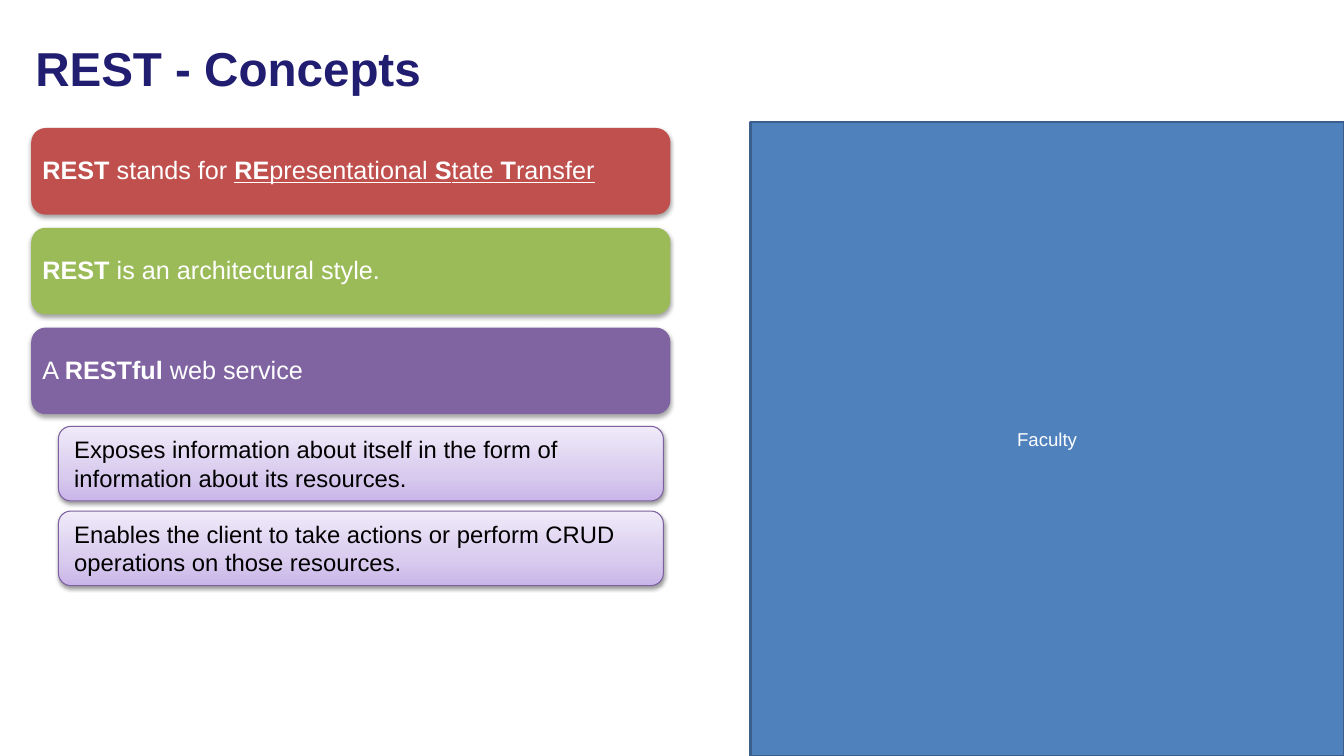
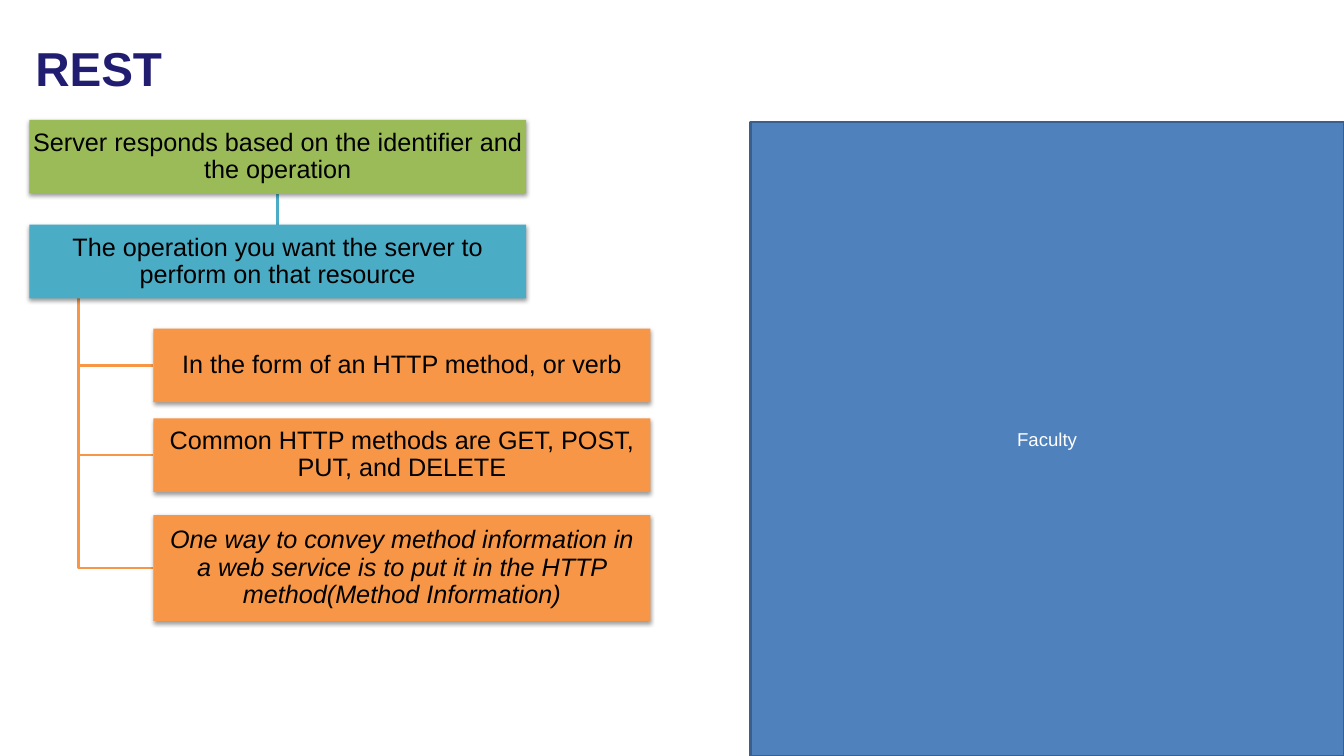
from copy import deepcopy
from dataclasses import dataclass

from pptx import Presentation
from pptx.dml.color import RGBColor
from pptx.enum.shapes import MSO_CONNECTOR, MSO_SHAPE
from pptx.enum.text import MSO_ANCHOR, MSO_AUTO_SIZE, PP_ALIGN
from pptx.oxml.ns import qn
from pptx.oxml.xmlchemy import OxmlElement
from pptx.util import Inches, Pt

RECTANGLE = MSO_SHAPE.RECTANGLE
ROUNDED = MSO_SHAPE.ROUNDED_RECTANGLE
STRAIGHT = MSO_CONNECTOR.STRAIGHT
TOP, MIDDLE = MSO_ANCHOR.TOP, MSO_ANCHOR.MIDDLE
LEFT, CENTER = PP_ALIGN.LEFT, PP_ALIGN.CENTER
FIXED = MSO_AUTO_SIZE.NONE
TITLE_ONLY = 5


@dataclass(frozen=True)
class Theme:
    font: str = "Arial"
    title: str = "211D70"
    white: str = "FFFFFF"
    black: str = "000000"
    blue: str = "4F81BD"
    blue_edge: str = "3A5F8C"
    red: str = "C0504D"
    green: str = "9BBB59"
    purple: str = "8064A2"
    purple_edge: str = "7D60A0"
    teal: str = "4BACC6"
    orange: str = "F79646"
    lilac_stops: tuple = ((0, "C9B5E8"), (0.35, "D8CBEE"), (1, "F0EAF9"))
    title_size: float = 34
    body_size: float = 18
    point_size: float = 17
    panel_size: float = 13.3
    line_spacing: float = 0.9
    link_width: float = 2


@dataclass(frozen=True)
class Box:
    left: float
    top: float
    width: float
    height: float

    def lengths(self):
        return [Inches(value) for value in (self.left, self.top, self.width, self.height)]


THEME = Theme()
TITLE_BOX = Box(0.25, 0.25, 11.81, 0.91)
PANEL_BOX = Box(7.44, 1.21, 5.89, 6.29)
CONCEPTS_BOX = Box(0.31, 1.27, 6.34, 4.54)
TREE_BOX = Box(0.29, 1.19, 6.16, 4.97)

CONCEPTS = (
    (THEME.red, (
        ("REST", {"bold": True}),
        (" stands for ", {}),
        ("RE", {"bold": True, "underline": True}),
        ("presentational ", {"underline": True}),
        ("S", {"bold": True, "underline": True}),
        ("tate ", {"underline": True}),
        ("T", {"bold": True, "underline": True}),
        ("ransfer", {"underline": True}),
    )),
    (THEME.green, (
        ("REST", {"bold": True}),
        (" is an architectural style.", {}),
    )),
    (THEME.purple, (
        ("A ", {}),
        ("RESTful", {"bold": True}),
        (" web service", {}),
    )),
)
POINTS = (
    "Exposes information about itself in the form of information about its resources.",
    "Enables the client to take actions or perform CRUD operations on those resources.",
)
TRUNK = (
    (0, THEME.green, "Server responds based on the identifier and the operation"),
    (1.04, THEME.teal, "The operation you want the server to perform on that resource"),
)
BRANCHES = (
    (2.07, 0.73, 0.01, False, "In the form of an HTTP method, or verb"),
    (2.96, 0.73, 0.01, False, "Common HTTP methods are GET, POST, PUT, and DELETE"),
    (3.92, 1.05, 0.08, True,
     "One way to convey method information in a web service is to put it in the HTTP "
     "method(Method Information)"),
)


def rgb(color):
    return RGBColor.from_string(color)


def add_text(para, text, size=THEME.body_size, color=THEME.black,
             bold=False, italic=False, underline=False):
    span = para.add_run()
    span.text = text
    font = span.font
    font.name, font.size = THEME.font, Pt(size)
    font.bold, font.italic, font.underline = bold, italic, underline
    font.color.rgb = rgb(color)


def set_frame(shape, insets, anchor=MIDDLE, align=LEFT, spacing=1.0):
    frame = shape.text_frame
    frame.word_wrap = True
    frame.auto_size = FIXED
    frame.vertical_anchor = anchor
    frame.margin_left, frame.margin_top, frame.margin_right, frame.margin_bottom = [
        Inches(inset) for inset in insets]
    para = frame.paragraphs[0]
    para.alignment = align
    para.line_spacing = spacing
    return para


def add_shadow(shape, opacity, distance):
    shadow = OxmlElement("a:outerShdw")
    settings = {"blurRad": Pt(3.1), "dist": Pt(distance), "dir": 90 * 60000, "rotWithShape": 0}
    for name, value in settings.items():
        shadow.set(name, str(int(value)))
    color = OxmlElement("a:srgbClr")
    color.set("val", THEME.black)
    alpha = OxmlElement("a:alpha")
    alpha.set("val", str(opacity * 1000))
    color.append(alpha)
    shadow.append(color)
    shape._element.spPr.find(qn("a:effectLst")).append(shadow)


def fill_gradient(shape, stops, angle):
    shape.fill.gradient()
    shape.fill.gradient_angle = angle
    stop_list = shape._element.spPr.find(qn("a:gradFill")).find(qn("a:gsLst"))
    while len(stop_list) < len(stops):
        stop_list.append(deepcopy(stop_list[0]))
    for stop, (position, color) in zip(shape.fill.gradient_stops, stops):
        stop.position = position
        stop.color.rgb = rgb(color)


def add_block(page, kind, box, fill=None, edge=None, edge_width=0.75):
    shape = page.shapes.add_shape(kind, *box.lengths())
    if fill:
        shape.fill.solid()
        shape.fill.fore_color.rgb = rgb(fill)
    if edge:
        shape.line.color.rgb = rgb(edge)
        shape.line.width = Pt(edge_width)
    else:
        shape.line.fill.background()
    shape.shadow.inherit = False
    return shape


def style_link(link, color):
    link.line.color.rgb = rgb(color)
    link.line.width = Pt(THEME.link_width)


def add_page(deck, title):
    page = deck.slides.add_slide(deck.slide_layouts[TITLE_ONLY])
    heading = page.shapes.title
    heading.left, heading.top, heading.width, heading.height = TITLE_BOX.lengths()
    para = set_frame(heading, (0.1, 0.05, 0.1, 0.05), spacing=THEME.line_spacing)
    add_text(para, title, size=THEME.title_size, color=THEME.title, bold=True)
    panel = add_block(page, RECTANGLE, PANEL_BOX, THEME.blue, THEME.blue_edge, 2)
    para = set_frame(panel, (0.1, 0.05, 0.1, 0.05), align=CENTER)
    add_text(para, "Faculty", size=THEME.panel_size, color=THEME.white)
    return page


def add_concepts(page, box):
    pitch, height = 0.99, 0.86
    for index, (fill, spans) in enumerate(CONCEPTS):
        band_box = Box(box.left, box.top + index * pitch, box.width, height)
        band = add_block(page, ROUNDED, band_box, fill)
        add_shadow(band, 35, 1.8)
        para = set_frame(band, (0.07,) * 4, spacing=THEME.line_spacing)
        for text, style in spans:
            add_text(para, text, color=THEME.white, **style)


def add_points(page, box):
    pitch, height = 0.84, 0.74
    first_top = box.top + box.height - pitch * (len(POINTS) - 1) - height
    for index, text in enumerate(POINTS):
        point_box = Box(box.left + 0.27, first_top + index * pitch, box.width - 0.34, height)
        point = add_block(page, ROUNDED, point_box, edge=THEME.purple_edge)
        fill_gradient(point, THEME.lilac_stops, 90)
        add_shadow(point, 38, 1.6)
        para = set_frame(point, (0.12, 0.05, 0.04, 0.05), anchor=TOP)
        add_text(para, text, size=THEME.point_size)


def add_node(page, box, fill, text, side_inset=0.01, italic=False):
    node = add_block(page, RECTANGLE, box, fill)
    add_shadow(node, 38, 1.6)
    para = set_frame(node, (side_inset, 0.01, side_inset, 0.01),
                     align=CENTER, spacing=THEME.line_spacing)
    add_text(para, text, italic=italic)


def add_trunk_link(page, x, top, bottom):
    link = page.shapes.add_connector(
        STRAIGHT, Inches(x), Inches(top), Inches(x), Inches(bottom))
    style_link(link, THEME.teal)
    link._element.spPr.append(OxmlElement("a:effectLst"))


def add_branch_link(page, x, top, right, bottom):
    builder = page.shapes.build_freeform(Inches(x), Inches(top))
    corners = [(Inches(x), Inches(bottom)), (Inches(right), Inches(bottom))]
    builder.add_line_segments(corners, close=False)
    link = builder.convert_to_shape()
    link.fill.background()
    style_link(link, THEME.orange)
    link.shadow.inherit = False


def add_tree(page, box):
    width, height = box.width * 0.8, 0.73
    trunk = [Box(box.left, box.top + offset, width, height) for offset, _, _ in TRUNK]
    branch_left = box.left + width / 4
    trunk_bottom = trunk[-1].top + height
    branches = [Box(branch_left, box.top + row[0], width, row[1]) for row in BRANCHES]
    for branch in branches:
        add_branch_link(page, box.left + width / 10, trunk_bottom,
                        branch_left, branch.top + branch.height / 2)
    add_trunk_link(page, box.left + width / 2, trunk[0].top + height, trunk[1].top)
    for node_box, (_, fill, text) in zip(trunk, TRUNK):
        add_node(page, node_box, fill, text)
    for node_box, (_, _, inset, italic, text) in zip(branches, BRANCHES):
        add_node(page, node_box, THEME.orange, text, inset, italic)


def main():
    deck = Presentation()
    deck.slide_width, deck.slide_height = Inches(13.33), Inches(7.5)
    concepts = add_page(deck, "REST - Concepts")
    add_concepts(concepts, CONCEPTS_BOX)
    add_points(concepts, CONCEPTS_BOX)
    add_tree(add_page(deck, "REST"), TREE_BOX)
    deck.save("out.pptx")


if __name__ == "__main__":
    main()
